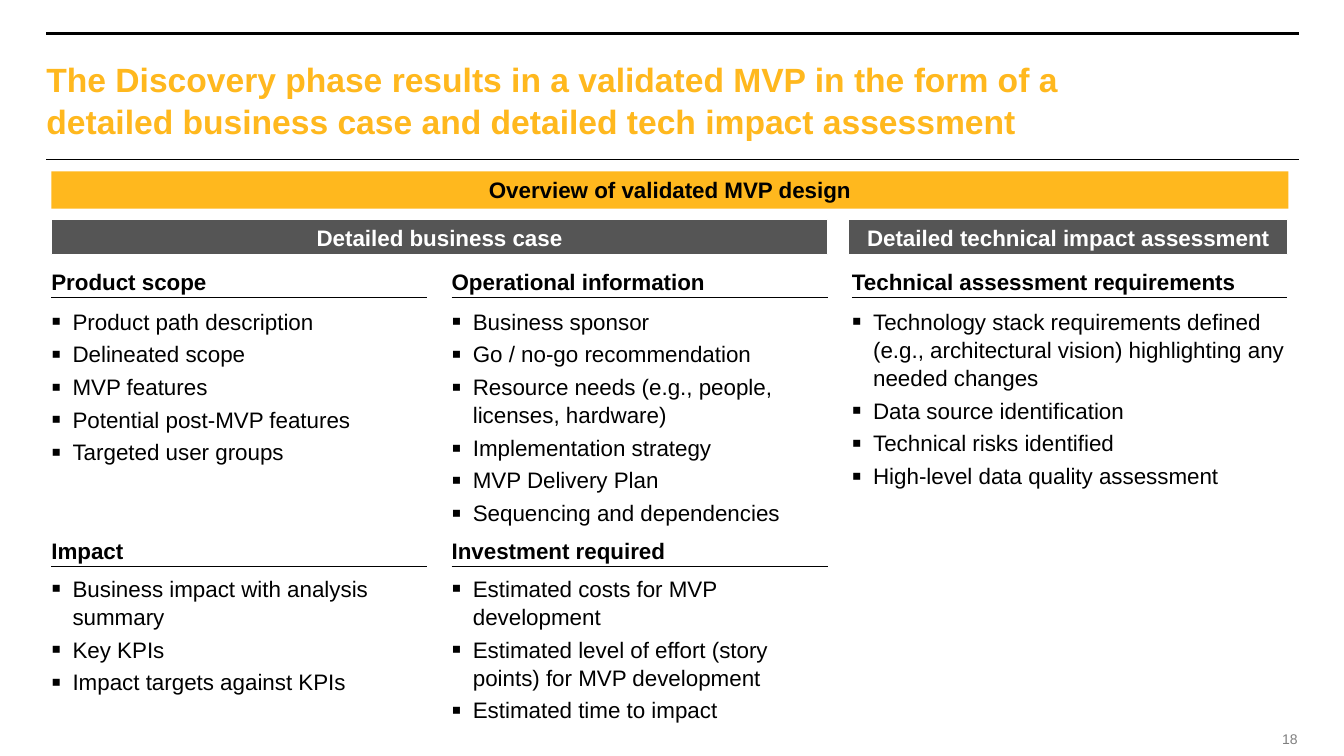
import copy
import dataclasses
import typing

import lxml.etree
import pptx
import pptx.dml.color
import pptx.enum.shapes
import pptx.enum.text
import pptx.oxml.ns
import pptx.util

Align = pptx.enum.text.PP_ALIGN
Anchor = pptx.enum.text.MSO_ANCHOR
qn = pptx.oxml.ns.qn


@dataclasses.dataclass(frozen=True)
class Theme:
    font: str = "Arial"
    accent: str = "FFB81E"
    dark: str = "555555"
    ink: str = "000000"
    paper: str = "FFFFFF"
    muted: str = "7F7F7F"
    title_size: float = 24
    body_size: float = 16
    number_size: float = 10
    line_spacing: float = 1.05
    bullet_indent: float = 0.21


class Area(typing.NamedTuple):
    left: float
    top: float
    width: float
    height: float


class Row(typing.NamedTuple):
    heading: float
    items: float
    height: float


class Rule(typing.NamedTuple):
    left: float
    right: float
    top: float
    weight: float


class Banner(typing.NamedTuple):
    text: str
    area: Area
    fill: str
    color: str
    outline: str | None = None


class Section(typing.NamedTuple):
    column: int
    row: int
    heading: str
    items: tuple[str, ...]


THEME = Theme()
GRID_LEFT, COLUMN_PITCH, HEADING_HEIGHT = 0.51, 3.97, 0.29
COLUMN_WIDTHS = (3.73, 3.73, 4.31)
ROWS = (Row(2.66, 3.04, 2.15), Row(5.33, 5.69, 1.45))
FRAME_RULES = (Rule(0.46, 12.88, 0.33, 2.5), Rule(0.46, 12.88, 1.58, 1))
TITLE = ("The Discovery phase results in a validated MVP in the form of a "
         "detailed business case and detailed tech impact assessment")

BANNERS = (
    Banner("Overview of validated MVP design", Area(GRID_LEFT, 1.7, 12.27, 0.37),
           THEME.accent, THEME.ink),
    Banner("Detailed business case", Area(GRID_LEFT, 2.18, 7.7, 0.35),
           THEME.dark, THEME.paper, THEME.paper),
    Banner("Detailed technical impact assessment", Area(8.42, 2.18, 4.35, 0.35),
           THEME.dark, THEME.paper, THEME.paper),
)

SECTIONS = (
    Section(0, 0, "Product scope", (
        "Product path description", "Delineated scope", "MVP features",
        "Potential post-MVP features", "Targeted user groups")),
    Section(1, 0, "Operational information", (
        "Business sponsor", "Go / no-go recommendation",
        "Resource needs (e.g., people, licenses, hardware)",
        "Implementation strategy", "MVP Delivery Plan", "Sequencing and dependencies")),
    Section(2, 0, "Technical assessment requirements", (
        "Technology stack requirements defined (e.g., architectural vision) "
        "highlighting any needed changes",
        "Data source identification", "Technical risks identified",
        "High-level data quality assessment")),
    Section(0, 1, "Impact", (
        "Business impact with analysis summary", "Key KPIs",
        "Impact targets against KPIs")),
    Section(1, 1, "Investment required", (
        "Estimated costs for MVP development",
        "Estimated level of effort (story points) for MVP development",
        "Estimated time to impact")),
)


def rgb(value: str) -> pptx.dml.color.RGBColor:
    return pptx.dml.color.RGBColor.from_string(value)


def inches(area: Area) -> list[pptx.util.Length]:
    return [pptx.util.Inches(length) for length in area]


def place(shape, area: Area) -> None:
    shape.left, shape.top, shape.width, shape.height = inches(area)


def prepare(shape, anchor, bottom: float = 0):
    frame = shape.text_frame
    frame.word_wrap = True
    frame.auto_size = pptx.enum.text.MSO_AUTO_SIZE.NONE
    frame.vertical_anchor = anchor
    frame.margin_left = frame.margin_right = frame.margin_top = 0
    frame.margin_bottom = pptx.util.Inches(bottom)
    return frame


def write(para, text: str, size: float, color: str, bold: bool = False,
          align=Align.LEFT) -> None:
    para.alignment = align
    span = para.add_run()
    span.text = text
    span.font.name = THEME.font
    span.font.size = pptx.util.Pt(size)
    span.font.bold = bold
    span.font.color.rgb = rgb(color)


def add_bullet(para) -> None:
    properties = para._p.get_or_add_pPr()
    indent = pptx.util.Inches(THEME.bullet_indent)
    properties.set("marL", str(indent))
    properties.set("indent", str(-indent))
    color = lxml.etree.SubElement(properties, qn("a:buClr"))
    lxml.etree.SubElement(color, qn("a:srgbClr"), val=THEME.ink)
    lxml.etree.SubElement(properties, qn("a:buSzPct"), val="125000")
    lxml.etree.SubElement(properties, qn("a:buFont"), typeface=THEME.font)
    lxml.etree.SubElement(properties, qn("a:buChar"), char="▪")


def draw_rule(page, rule: Rule) -> None:
    left, right, top = (pptx.util.Inches(n) for n in (rule.left, rule.right, rule.top))
    line = page.shapes.add_connector(
        pptx.enum.shapes.MSO_CONNECTOR.STRAIGHT, left, top, right, top)
    line.line.color.rgb = rgb(THEME.ink)
    line.line.width = pptx.util.Pt(rule.weight)
    lxml.etree.SubElement(line.element.spPr, qn("a:effectLst"))


def draw_banner(page, banner: Banner) -> None:
    box = page.shapes.add_shape(
        pptx.enum.shapes.MSO_SHAPE.RECTANGLE, *inches(banner.area))
    box.shadow.inherit = False
    box.fill.solid()
    box.fill.fore_color.rgb = rgb(banner.fill)
    if banner.outline:
        box.line.color.rgb = rgb(banner.outline)
        box.line.width = pptx.util.Pt(0.75)
    else:
        box.line.fill.background()
    frame = prepare(box, Anchor.MIDDLE)
    write(frame.paragraphs[0], banner.text, THEME.body_size, banner.color, True, Align.CENTER)


def draw_section(page, section: Section, body) -> None:
    left = GRID_LEFT + section.column * COLUMN_PITCH
    width = COLUMN_WIDTHS[section.column]
    row = ROWS[section.row]
    box = page.shapes.add_textbox(*inches(Area(left, row.heading, width, HEADING_HEIGHT)))
    frame = prepare(box, Anchor.BOTTOM, 0.02)
    write(frame.paragraphs[0], section.heading, THEME.body_size, THEME.ink, True)
    draw_rule(page, Rule(left, left + width, row.heading + HEADING_HEIGHT, 0.75))
    place(body, Area(left, row.items, width, row.height))
    frame = prepare(body, Anchor.TOP)
    for index, item in enumerate(section.items):
        para = frame.add_paragraph() if index else frame.paragraphs[0]
        add_bullet(para)
        para.line_spacing = THEME.line_spacing
        para.space_before = pptx.util.Pt(THEME.body_size * 0.2 if index else 0)
        write(para, item, THEME.body_size, THEME.ink)


def extend_layout(layout, count: int) -> None:
    body = layout.placeholders[1].element
    for index in range(2, count + 1):
        extra = copy.deepcopy(body)
        extra.xpath(".//p:cNvPr")[0].set("id", str(20 + index))
        extra.xpath(".//p:ph")[0].set("idx", str(20 + index))
        body.getparent().append(extra)


def main() -> None:
    deck = pptx.Presentation()
    deck.slide_width, deck.slide_height = pptx.util.Inches(13.33), pptx.util.Inches(7.5)
    layout = deck.slide_layouts[1]
    extend_layout(layout, len(SECTIONS))
    page = deck.slides.add_slide(layout)
    title = page.shapes.title
    bodies = [shape for shape in page.placeholders if shape.placeholder_format.idx]

    place(title, Area(0.46, 0.56, 10.81, 0.81))
    para = prepare(title, Anchor.TOP).paragraphs[0]
    para.line_spacing = THEME.line_spacing
    write(para, TITLE, THEME.title_size, THEME.accent, True)
    for rule in FRAME_RULES:
        draw_rule(page, rule)
    for banner in BANNERS:
        draw_banner(page, banner)
    for section, body in zip(SECTIONS, bodies, strict=True):
        draw_section(page, section, body)

    number = page.shapes.add_textbox(*inches(Area(12.57, 7.25, 0.3, 0.17)))
    frame = prepare(number, Anchor.MIDDLE)
    write(frame.paragraphs[0], "18", THEME.number_size, THEME.muted, align=Align.RIGHT)
    deck.save("out.pptx")


if __name__ == "__main__":
    main()
